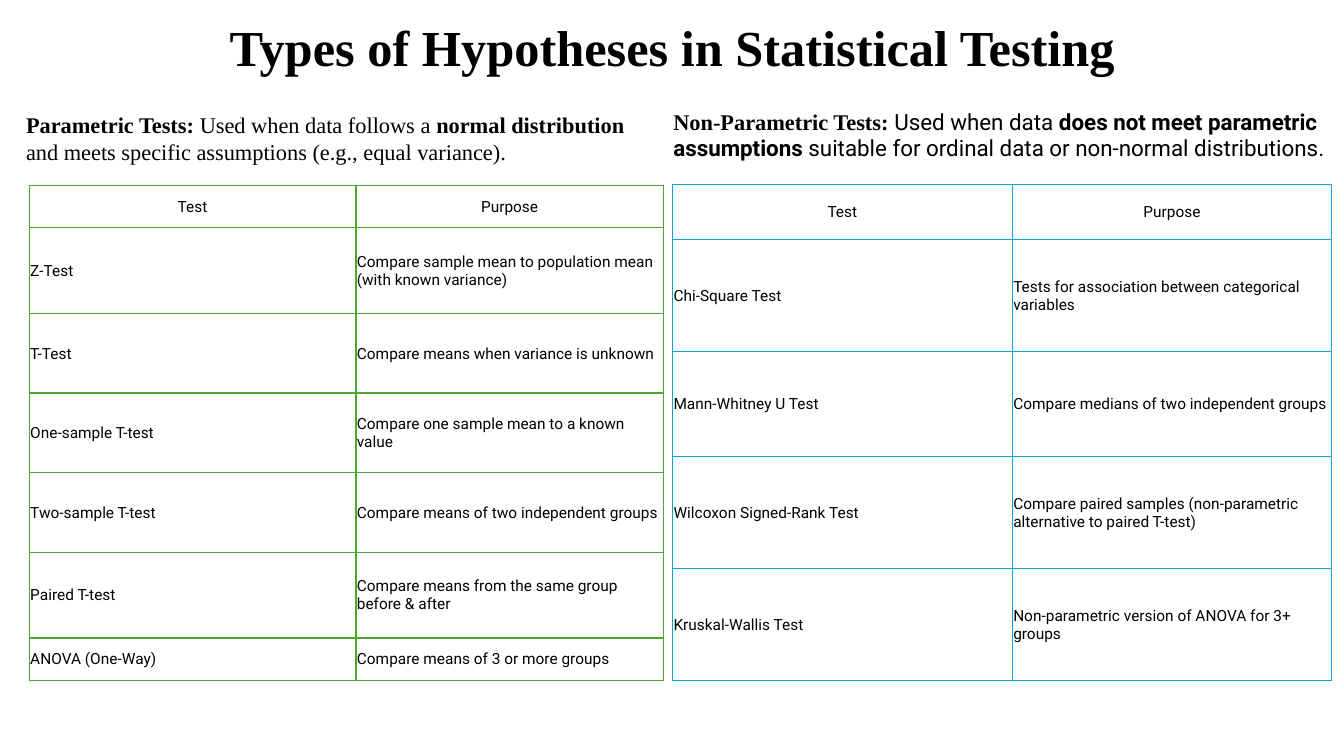
from lxml.etree import SubElement
from pptx import Presentation
from pptx.dml.color import RGBColor
from pptx.enum.text import MSO_ANCHOR, PP_ALIGN
from pptx.oxml.ns import qn
from pptx.util import Inches, Pt

BLACK = RGBColor(0x00, 0x00, 0x00)
GREEN = RGBColor(0x4E, 0xA7, 0x2E)
BLUE = RGBColor(0x0F, 0x9E, 0xD5)

SERIF = "Times New Roman"
SANS = "Roboto"
TITLE = {"name": SERIF, "size": Pt(36), "bold": True}
LEAD = {"name": SERIF, "size": Pt(16), "bold": False}
STRONG = {**LEAD, "bold": True}
PLAIN = {**LEAD, "name": SANS}
STRESS = {**PLAIN, "bold": True}
CELL = {"name": SANS, "size": Pt(11), "bold": False}
INSETS = {
    "margin_left": Inches(0.01),
    "margin_right": Inches(0.01),
    "margin_top": Inches(0.01),
    "margin_bottom": Inches(0),
    "vertical_anchor": MSO_ANCHOR.MIDDLE,
}
HEADS = ("Test", "Purpose")
MEANS = [
    ("Z-Test", "Compare sample mean to population mean (with known variance)"),
    ("T-Test", "Compare means when variance is unknown"),
    ("One-sample T-test", "Compare one sample mean to a known value"),
    ("Two-sample T-test", "Compare means of two independent groups"),
    ("Paired T-test", "Compare means from the same group before & after"),
    ("ANOVA (One-Way)", "Compare means of 3 or more groups"),
]
RANKS = [
    ("Chi-Square Test", "Tests for association between categorical variables"),
    ("Mann-Whitney U Test", "Compare medians of two independent groups"),
    ("Wilcoxon Signed-Rank Test",
     "Compare paired samples (non-parametric alternative to paired T-test)"),
    ("Kruskal-Wallis Test", "Non-parametric version of ANOVA for 3+ groups"),
]


def set_all(item, values):
    """Set each named attribute on the item."""
    for name, value in values.items():
        setattr(item, name, value)


def add_run(para, text, style):
    """Append a black run in the given style."""
    run = para.add_run()
    run.text = text
    set_all(run.font, style)
    run.font.color.rgb = BLACK


def add_text(slide, box, runs, frame=None, para=None):
    """Add a wrapped text box holding one paragraph of styled runs."""
    area = slide.shapes.add_textbox(*map(Inches, box)).text_frame
    set_all(area, {"word_wrap": True, **(frame or {})})
    first = area.paragraphs[0]
    set_all(first, para or {})
    for text, style in runs:
        add_run(first, text, style)


def add_edges(cell, color):
    """Draw a one-point line on all four sides of a cell."""
    props = cell._tc.get_or_add_tcPr()
    for side in ("lnL", "lnR", "lnT", "lnB"):
        line = SubElement(props, qn(f"a:{side}"), w=str(Pt(1)))
        fill = SubElement(line, qn("a:solidFill"))
        SubElement(fill, qn("a:srgbClr"), val=str(color))


def add_grid(slide, spot, widths, heights, tests, color):
    """Add a table of tests with a centred heading row."""
    rows = [HEADS, *tests]
    size = (sum(widths), sum(heights))
    grid = slide.shapes.add_table(
        len(rows), len(HEADS), *map(Inches, (*spot, *size))).table
    set_all(grid, {"first_row": False, "horz_banding": False})
    for col, width in zip(grid.columns, widths):
        col.width = Inches(width)
    for row, height in zip(grid.rows, heights):
        row.height = Inches(height)
    for r, texts in enumerate(rows):
        for c, text in enumerate(texts):
            cell = grid.cell(r, c)
            set_all(cell, INSETS)
            add_edges(cell, color)
            cell.fill.background()
            para = cell.text_frame.paragraphs[0]
            para.alignment = PP_ALIGN.LEFT if r else PP_ALIGN.CENTER
            add_run(para, text, CELL)


def main():
    """Build the slide and save it."""
    deck = Presentation()
    set_all(deck, {"slide_width": Inches(13.33), "slide_height": Inches(7.5)})
    slide = deck.slides.add_slide(deck.slide_layouts[6])
    add_text(slide, (0.92, 0.14, 11.5, 0.71),
             [("Types of Hypotheses in Statistical Testing", TITLE)],
             {"vertical_anchor": MSO_ANCHOR.MIDDLE},
             {"alignment": PP_ALIGN.CENTER, "line_spacing": 0.9})
    add_grid(slide, (0.29, 1.84), (3.24, 3.05),
             (0.42, 0.85, 0.79, 0.79, 0.79, 0.85, 0.42), MEANS, GREEN)
    add_text(slide, (0.16, 1.05, 6.43, 0.64), [
        ("Parametric Tests: ", STRONG),
        ("Used when data follows a ", LEAD),
        ("normal distribution", STRONG),
        (" and meets specific assumptions (e.g., equal variance).", LEAD),
    ])
    add_text(slide, (6.58, 1.02, 6.75, 0.64), [
        ("Non-Parametric Tests: ", STRONG),
        ("Used when data ", PLAIN),
        ("does not meet parametric assumptions", STRESS),
        (" suitable for ordinal data or non-normal distributions.", PLAIN),
    ])
    add_grid(slide, (6.67, 1.83), (3.37, 3.17),
             (0.55, 1.11, 1.04, 1.11, 1.11), RANKS, BLUE)
    deck.save("out.pptx")


if __name__ == "__main__":
    main()
